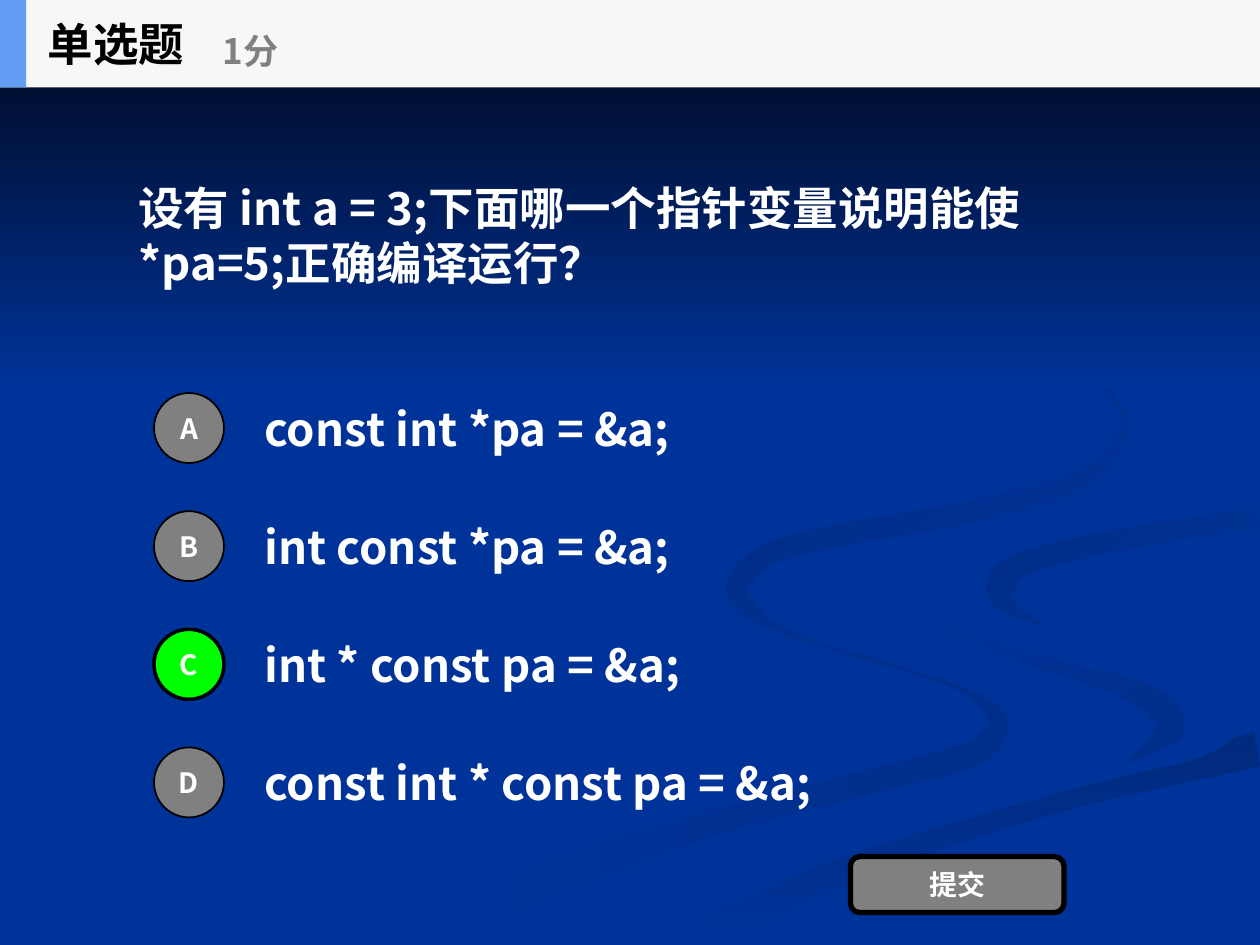
from math import hypot

from lxml.etree import SubElement
from pptx import Presentation
from pptx.dml.color import RGBColor
from pptx.enum.shapes import MSO_SHAPE
from pptx.enum.text import MSO_ANCHOR, MSO_AUTO_SIZE, PP_ALIGN
from pptx.oxml.ns import qn
from pptx.util import Pt

SLIDE_WIDTH, SLIDE_HEIGHT = 720, 540
HEADER_HEIGHT = 50
FONT = "Noto Sans CJK SC"
HEADING_SIZE, SCORE_SIZE, BUTTON_SIZE = 26, 20, 16
BLUE, NIGHT = "003399", "000514"
GRAY, GREEN = "808080", "00FF00"
WHITE, BLACK = "FFFFFF", "000000"
PALE, ACCENT = "F6F7F8", "639EF4"

QUESTION = "设有 int a = 3;下面哪一个指针变量说明能使*pa=5;正确编译运行？"
OPTIONS = {
    "A": "const int *pa = &a;",
    "B": "int const *pa = &a;",
    "C": "int * const pa = &a;",
    "D": "const int * const pa = &a;",
}
CORRECT = "C"
OPTION_TOP, OPTION_PITCH, OPTION_HEIGHT = 219.6, 67.5, 50
CIRCLE_SIZE = 40

CURVE_STEPS = 6
UNITS_PER_POINT = 10


def color(hex_string):
    """Turn a hex string into a colour."""
    return RGBColor.from_string(hex_string)


def fill_gradient(shape, start, end, angle):
    """Fill a shape with two colours, turned clockwise by angle."""
    shape.fill.gradient()
    shape.fill.gradient_angle = -angle % 360
    for stop, stop_color in zip(shape.fill.gradient_stops, (start, end)):
        stop.color.rgb = color(stop_color)


def smooth(knots):
    """Return a Catmull-Rom curve through knots of x, y and width."""
    padded = [knots[0], *knots, knots[-1]]
    curve = []
    for before, first, second, after in zip(padded, padded[1:], padded[2:], padded[3:]):
        for step in range(CURVE_STEPS):
            t = step / CURVE_STEPS
            curve.append([
                b + (c - a) * t / 2
                + (2 * a - 5 * b + 4 * c - d) * t ** 2 / 2
                + (3 * b - a - 3 * c + d) * t ** 3 / 2
                for a, b, c, d in zip(before, first, second, after)
            ])
    return curve + [knots[-1]]


def ribbon_outline(knots):
    """Return the outline that lies half a width to each side of the curve."""
    curve = smooth(knots)
    left_edge, right_edge = [], []
    for index, (x, y, width) in enumerate(curve):
        previous = curve[max(index - 1, 0)]
        following = curve[min(index + 1, len(curve) - 1)]
        run, rise = following[0] - previous[0], following[1] - previous[1]
        reach = max(width, 0) / 2 / hypot(run, rise)
        left_edge.append((x + rise * reach, y - run * reach))
        right_edge.append((x - rise * reach, y + run * reach))
    return left_edge + right_edge[::-1]


def add_ribbon(slide, knots, start, end, angle):
    """Add a curved ribbon of changing width with a gradient."""
    outline = [
        (min(x, SLIDE_WIDTH) * UNITS_PER_POINT, min(y, SLIDE_HEIGHT) * UNITS_PER_POINT)
        for x, y in ribbon_outline(knots)
    ]
    builder = slide.shapes.build_freeform(*outline[0], scale=Pt(1 / UNITS_PER_POINT))
    builder.add_line_segments(outline[1:], close=True)
    shape = builder.convert_to_shape()
    shape.shadow.inherit = False
    shape.line.fill.background()
    fill_gradient(shape, start, end, angle)


def add_background(slide):
    """Add the blue ground, its ribbons and the dark fade at the top."""
    slide.background.fill.solid()
    slide.background.fill.fore_color.rgb = color(BLUE)
    lower_ribbon = [(414, 330, 0), (411, 340, 1), (430, 353, 4), (468, 368, 3),
                    (515, 382, 2), (552, 395, 3), (570, 412, 11), (557, 430, 14),
                    (504, 445, 14), (422, 466, 14), (333, 495, 20), (250, 528, 22)]
    right_ribbon = [(521, 334, 0), (525, 346, 2), (544, 361, 4), (592, 377, 9),
                    (642, 392, 12), (667, 409, 17), (664, 423, 12), (644, 436, 0)]
    bottom_band = [(719, 428, 20), (626, 452, 13), (558, 471, 14),
                   (480, 498, 15), (421, 523, 18), (400, 531, 15)]
    middle_band = [(712, 284, 11), (626, 300, 12), (554, 317, 22), (542, 335, 40),
                   (563, 353, 19), (612, 371, 16), (680, 388, 18), (695, 408, 28),
                   (684, 425, 16), (640, 441, 6), (585, 455, 7), (490, 482, 9),
                   (430, 504, 12), (365, 532, 12)]
    right_hook = [(595, 357, 0), (575, 346, 9), (572, 334, 17), (585, 322, 13),
                  (632, 310, 12), (698, 299, 11), (719, 296, 13)]
    upper_ribbon = [(549, 168, 0), (611, 201, 2), (640, 234, 3), (642, 246, 4),
                    (619, 273, 10), (557, 292, 12), (490, 304, 12), (443, 315, 12),
                    (421, 335, 12), (435, 353, 4), (448, 360, 0)]
    add_ribbon(slide, lower_ribbon, BLUE, "002E8B", 0)
    add_ribbon(slide, right_ribbon, BLUE, "002E8B", 45)
    add_ribbon(slide, bottom_band, "002A7D", BLUE, 90)
    add_ribbon(slide, middle_band, BLUE, BLUE, 0)
    add_ribbon(slide, right_hook, "002D86", BLUE, 45)
    add_ribbon(slide, upper_ribbon, "002B82", BLUE, 45)
    fade = add_block(slide, MSO_SHAPE.RECTANGLE, 0, 0, SLIDE_WIDTH, 222, NIGHT)
    fill_gradient(fade, NIGHT, BLUE, 90)


def write_text(shape, text, size, text_color=WHITE, alignment=PP_ALIGN.LEFT):
    """Put bold, vertically centred text into a shape."""
    frame = shape.text_frame
    frame.text = text
    frame.word_wrap = True
    frame.auto_size = MSO_AUTO_SIZE.NONE
    frame.vertical_anchor = MSO_ANCHOR.MIDDLE
    paragraph = frame.paragraphs[0]
    paragraph.alignment = alignment
    font = paragraph.runs[0].font
    font.name, font.size, font.bold = FONT, Pt(size), True
    font.color.rgb = color(text_color)
    SubElement(paragraph.runs[0].font._element, qn("a:ea"), typeface=FONT)


def add_label(slide, text, left, top, width, height, size, text_color=WHITE):
    """Add a text box."""
    box = slide.shapes.add_textbox(Pt(left), Pt(top), Pt(width), Pt(height))
    write_text(box, text, size, text_color)


def add_block(slide, kind, left, top, width, height, fill, line_width=0):
    """Add a filled preset shape, outlined in black if it has a line width."""
    shape = slide.shapes.add_shape(kind, Pt(left), Pt(top), Pt(width), Pt(height))
    shape.shadow.inherit = False
    shape.fill.solid()
    shape.fill.fore_color.rgb = color(fill)
    if line_width:
        shape.line.color.rgb = color(BLACK)
        shape.line.width = Pt(line_width)
    else:
        shape.line.fill.background()
    return shape


def add_button(slide, kind, text, left, top, width, height, fill, line_width):
    """Add an outlined shape with a centred caption."""
    shape = add_block(slide, kind, left, top, width, height, fill, line_width)
    write_text(shape, text, BUTTON_SIZE, alignment=PP_ALIGN.CENTER)


def add_option(slide, index, letter, code):
    """Add one answer with its lettered circle."""
    top = OPTION_TOP + OPTION_PITCH * index
    circle_top = top + (OPTION_HEIGHT - CIRCLE_SIZE) / 2
    fill, line_width = (GREEN, 2) if letter == CORRECT else (GRAY, 1)
    add_label(slide, code, 144, top, 504, OPTION_HEIGHT, HEADING_SIZE)
    add_button(slide, MSO_SHAPE.OVAL, letter, 88, circle_top,
               CIRCLE_SIZE, CIRCLE_SIZE, fill, line_width)


def add_header(slide):
    """Add the header bar with the title and the score."""
    for width, fill in ((SLIDE_WIDTH, PALE), (15, ACCENT)):
        add_block(slide, MSO_SHAPE.RECTANGLE, 0, 0, width, HEADER_HEIGHT, fill)
    title = slide.shapes.title
    title.left, title.top = Pt(20), Pt(0)
    title.width, title.height = Pt(150), Pt(HEADER_HEIGHT)
    write_text(title, "单选题", HEADING_SIZE, BLACK)
    title.element.getparent().append(title.element)
    add_label(slide, "1分", 120, 9, 180, 40, SCORE_SIZE, GRAY)


def main():
    """Build the quiz slide."""
    presentation = Presentation()
    presentation.slide_width, presentation.slide_height = Pt(SLIDE_WIDTH), Pt(SLIDE_HEIGHT)
    slide = presentation.slides.add_slide(presentation.slide_layouts[5])
    add_background(slide)
    add_label(slide, QUESTION, 72, HEADER_HEIGHT, 576, 168, HEADING_SIZE)
    for index, (letter, code) in enumerate(OPTIONS.items()):
        add_option(slide, index, letter, code)
    add_button(slide, MSO_SHAPE.ROUNDED_RECTANGLE, "提交", 486, 489.5, 122, 32, GRAY, 3)
    add_header(slide)
    presentation.save("out.pptx")


if __name__ == "__main__":
    main()
